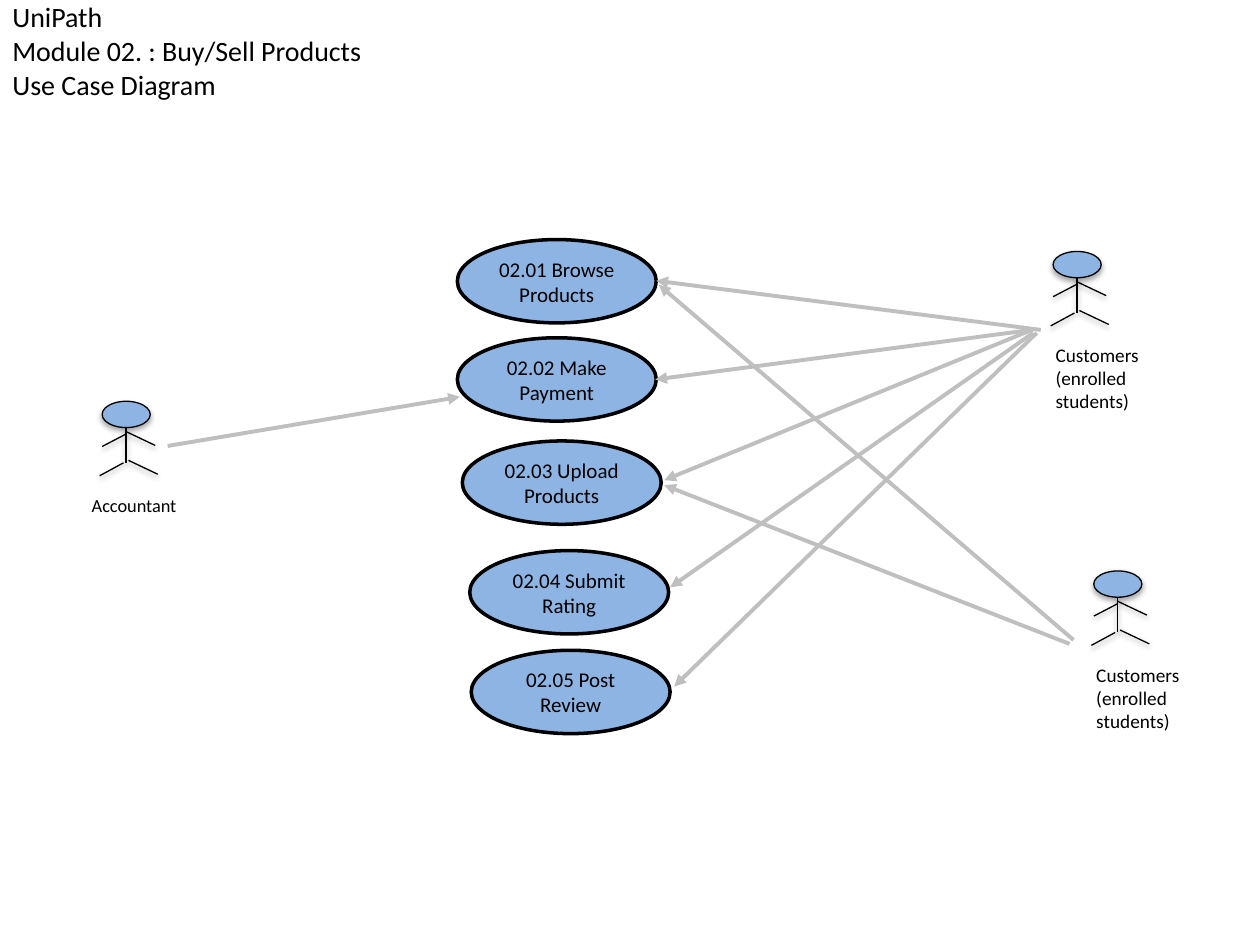
from dataclasses import dataclass
from typing import NamedTuple

from lxml import etree
from pptx import Presentation
from pptx.dml.color import RGBColor
from pptx.enum.shapes import MSO_CONNECTOR, MSO_SHAPE
from pptx.enum.text import MSO_ANCHOR, PP_ALIGN
from pptx.oxml.ns import qn
from pptx.util import Cm, Pt

OVAL = MSO_SHAPE.OVAL
STRAIGHT = MSO_CONNECTOR.STRAIGHT
TOP, MIDDLE = MSO_ANCHOR.TOP, MSO_ANCHOR.MIDDLE
LEFT, CENTER = PP_ALIGN.LEFT, PP_ALIGN.CENTER


@dataclass(frozen=True)
class Theme:
    font: str = "Calibri"
    ink: RGBColor = RGBColor(0x00, 0x00, 0x00)
    fill: RGBColor = RGBColor(0x8E, 0xB4, 0xE3)
    link: RGBColor = RGBColor(0xBF, 0xBF, 0xBF)
    title_size: float = 16
    case_size: float = 12
    caption_size: float = 11
    small_caption_size: float = 10.5
    figure_line: float = 0.75
    case_line: float = 2
    link_line: float = 2.25


THEME = Theme()


# All coordinates are in centimetres
class UseCase(NamedTuple):
    text: str
    x: float
    y: float


class Line(NamedTuple):
    x1: float
    y1: float
    x2: float
    y2: float


class Caption(NamedTuple):
    text: str
    dx: float
    dy: float
    w: float
    h: float
    size: float


class Actor(NamedTuple):
    x: float
    y: float
    caption: Caption


CASE_W, CASE_H = 4.01, 1.68
USE_CASES = [
    UseCase("02.01 Browse Products", 9.22, 4.83),
    UseCase("02.02 Make Payment", 9.22, 6.81),
    UseCase("02.03 Upload Products", 9.32, 8.89),
    UseCase("02.04 Submit Rating", 9.47, 11.1),
    UseCase("02.05 Post Review", 9.5, 13.11),
]

# Stick figure, relative to the top left of the head
HEAD_W, HEAD_H = 0.97, 0.53
LIMBS = [
    Line(0.48, 0.52, 0.48, 1.24),   # body
    Line(0.48, 0.66, 0, 0.91),      # left arm
    Line(0.43, 1.24, -0.05, 1.5),   # left leg
    Line(0.48, 0.61, 1.07, 0.89),   # right arm
    Line(0.53, 1.19, 1.12, 1.47),   # right leg
]

CUSTOMERS = Caption("Customers\n(enrolled students)", -0.2, 1.73, 3.12, 1.73,
                    THEME.caption_size)
ACCOUNTANT = Caption("Accountant", -0.46, 1.75, 2.29, 0.71,
                     THEME.small_caption_size)
ACTORS = [
    Actor(21.23, 5.07, CUSTOMERS),
    Actor(2.06, 8.09, ACCOUNTANT),
    Actor(22.05, 11.51, CUSTOMERS),
]

ASSOCIATIONS = [
    # Upper customers
    Line(20.98, 6.65, 13.23, 5.66),
    Line(20.8, 6.65, 13.21, 7.65),
    Line(20.85, 6.63, 13.39, 9.68),
    Line(20.83, 6.71, 13.51, 11.84),
    Line(20.9, 6.71, 13.59, 13.84),
    # Lower customers
    Line(21.64, 12.9, 13.28, 5.74),
    Line(21.56, 12.98, 13.39, 9.78),
    # Accountant
    Line(3.38, 8.99, 9.27, 8),
]


def write(sp, text: str, *, size: float, align=LEFT, anchor=TOP) -> None:
    """Fill a shape with text: \\n starts a paragraph, \\v breaks a line."""
    tf = sp.text_frame
    tf.word_wrap = True
    tf.vertical_anchor = anchor
    tf.text = text
    for p in tf.paragraphs:
        p.alignment = align
        for r in p.runs:
            r.font.name = THEME.font
            r.font.size = Pt(size)
            r.font.color.rgb = THEME.ink


def add_oval(shapes, x: float, y: float, w: float, h: float, line: float):
    sp = shapes.add_shape(OVAL, Cm(x), Cm(y), Cm(w), Cm(h))
    sp.fill.solid()
    sp.fill.fore_color.rgb = THEME.fill
    sp.line.color.rgb = THEME.ink
    sp.line.width = Pt(line)
    return sp


def add_line(shapes, ln: Line, color: RGBColor, width: float):
    cxn = shapes.add_connector(STRAIGHT, Cm(ln.x1), Cm(ln.y1),
                               Cm(ln.x2), Cm(ln.y2))
    cxn.line.color.rgb = color
    cxn.line.width = Pt(width)
    return cxn


def add_use_case(shapes, case: UseCase) -> None:
    sp = add_oval(shapes, case.x, case.y, CASE_W, CASE_H, THEME.case_line)
    sp.shadow.inherit = False
    write(sp, case.text, size=THEME.case_size, align=CENTER, anchor=MIDDLE)


def add_actor(shapes, actor: Actor) -> None:
    """Group a stick figure, which keeps the theme's soft shadow, and its name."""
    x, y, cap = actor
    grp = shapes.add_group_shape().shapes
    add_oval(grp, x, y, HEAD_W, HEAD_H, THEME.figure_line)
    for limb in LIMBS:
        ln = Line(x + limb.x1, y + limb.y1, x + limb.x2, y + limb.y2)
        add_line(grp, ln, THEME.ink, THEME.figure_line)
    tb = grp.add_textbox(Cm(x + cap.dx), Cm(y + cap.dy), Cm(cap.w), Cm(cap.h))
    write(tb, cap.text, size=cap.size)


def add_association(shapes, ln: Line) -> None:
    cxn = add_line(shapes, ln, THEME.link, THEME.link_line)
    etree.SubElement(cxn.line._get_or_add_ln(), qn("a:tailEnd"), type="triangle")
    etree.SubElement(cxn._element.spPr, qn("a:effectLst"))


def main() -> None:
    prs = Presentation()
    prs.slide_width, prs.slide_height = Cm(25.4), Cm(19.05)
    shapes = prs.slides.add_slide(prs.slide_layouts[6]).shapes

    # Title
    tb = shapes.add_textbox(Cm(0), Cm(0.28), Cm(11), Cm(1.47))
    write(tb, "UniPath\vModule 02. : Buy/Sell Products\vUse Case Diagram",
          size=THEME.title_size, anchor=MIDDLE)

    # Diagram
    for case in USE_CASES:
        add_use_case(shapes, case)
    for actor in ACTORS:
        add_actor(shapes, actor)
    for ln in ASSOCIATIONS:
        add_association(shapes, ln)

    prs.save("out.pptx")


if __name__ == "__main__":
    main()
